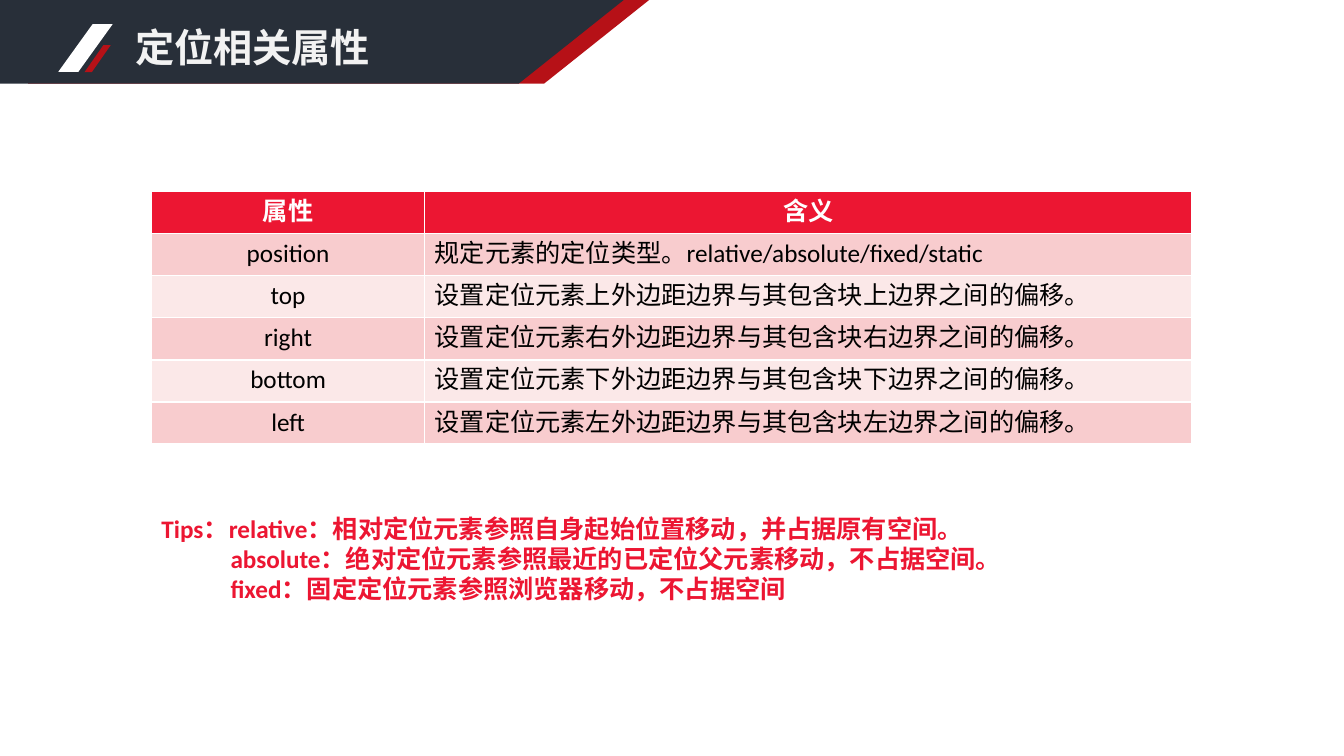
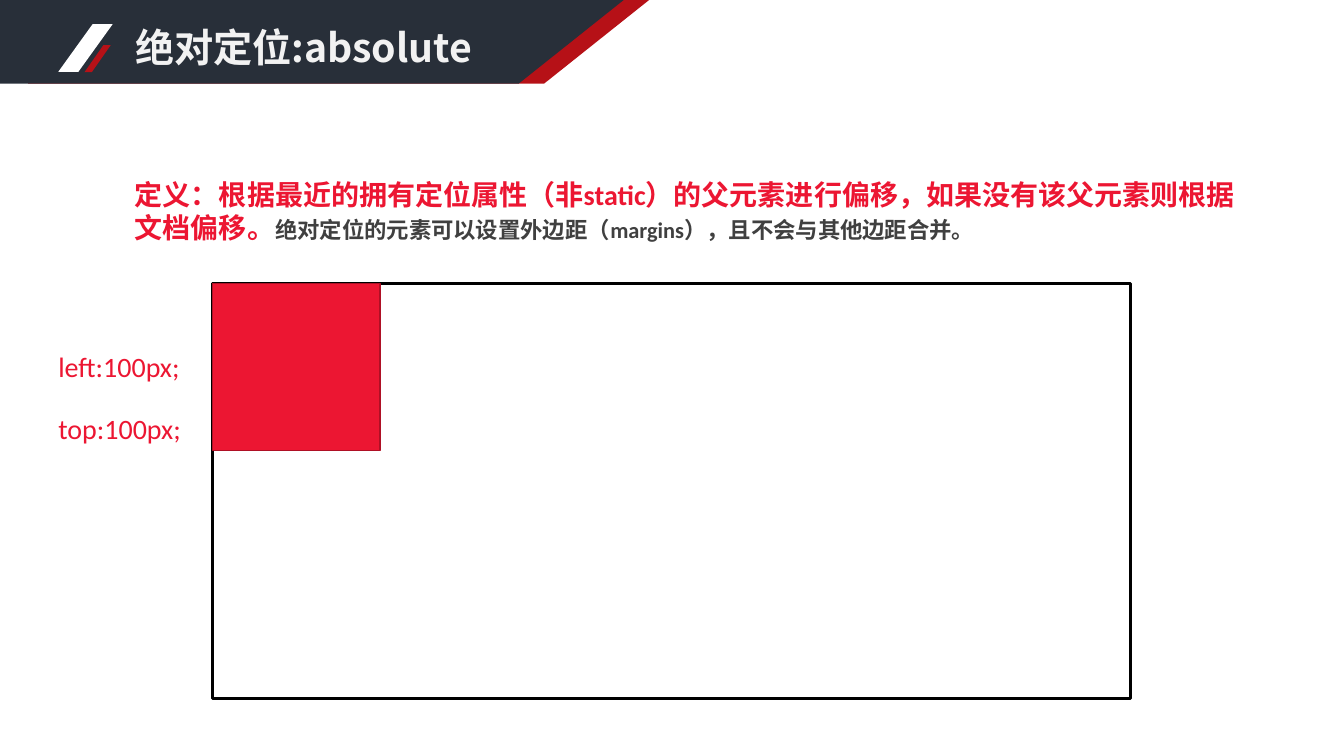
"""Build two slides on CSS positioning: the property table and the absolute mode."""
from dataclasses import dataclass
from typing import Any, NamedTuple

from pptx import Presentation
from pptx.dml.color import RGBColor
from pptx.enum.shapes import MSO_SHAPE as Preset
from pptx.enum.text import MSO_ANCHOR as Anchor, MSO_AUTO_SIZE as AutoSize, PP_ALIGN as Align
from pptx.oxml.ns import qn
from pptx.util import Cm, Pt

DARK = RGBColor(0x28, 0x2F, 0x39)
DEEP_RED = RGBColor(0xB6, 0x11, 0x17)
RED = RGBColor(0xEC, 0x16, 0x32)
RED_EDGE = RGBColor(0xAF, 0x10, 0x25)
ROW_DARK = RGBColor(0xF8, 0xCC, 0xCE)
ROW_LIGHT = RGBColor(0xFB, 0xE8, 0xE8)
TITLE_COLOR = RGBColor(0xF2, 0xF2, 0xF2)
GREY = RGBColor(0x40, 0x40, 0x40)
WHITE = RGBColor(0xFF, 0xFF, 0xFF)
BLACK = RGBColor(0, 0, 0)

BODY_FONT = "Calibri"
TITLE_FONT = "Noto Sans CJK SC"
TITLE_ONLY = 5
BAND_HEIGHT = 2.11
BAND_SLANT = 2.65


class Box(NamedTuple):
    """A rectangle in centimetres."""
    left: float
    top: float
    width: float
    height: float

    def lengths(self) -> list[Cm]:
        """Return the four measures as lengths."""
        return [Cm(value) for value in self]


@dataclass(frozen=True)
class Style:
    """The look of one run of text."""
    size: float
    color: RGBColor
    bold: bool = False
    name: str = BODY_FONT


@dataclass(frozen=True)
class Line:
    """One paragraph: its styled runs and left indent in centimetres."""
    runs: tuple[tuple[str, Style], ...]
    indent: float = 0


@dataclass(frozen=True)
class Band:
    """A slanted header band between two horizontal positions."""
    left: float
    right: float
    color: RGBColor


@dataclass(frozen=True)
class Panel:
    """A preset shape with optional fill and outline."""
    box: Box
    fill: RGBColor | None = None
    line: RGBColor | None = None
    weight: float = 1
    preset: Preset = Preset.RECTANGLE
    slant: float | None = None


TITLE_BOX = Box(3.15, 0.46, 10.29, 1.45)
TITLE_STYLE = Style(28, TITLE_COLOR, True, TITLE_FONT)
TIP_STYLE = Style(18, RED, True)
DEFINITION_STYLE = Style(20, RED, True)
REMARK_STYLE = Style(16, GREY, True)
OFFSET_STYLE = Style(20, RED)
HEADER_STYLE = Style(18, WHITE, True)
CELL_STYLE = Style(18, BLACK)

BANDS = (Band(0.71, 16.36, DEEP_RED), Band(0, 15.72, DARK))
HEADER_MARKS = tuple(
    Panel(box, fill=color, preset=Preset.PARALLELOGRAM, slant=0.72)
    for box, color in (
        (Box(1.47, 0.61, 1.37, 1.2), WHITE),
        (Box(2.13, 1.14, 0.66, 0.68), DEEP_RED),
    )
)

TABLE_BOX = Box(3.82, 4.83, 26.22, 6.36)
COLUMN_WIDTHS = (6.88, 19.34)
SIDES = (("top", "上"), ("right", "右"), ("bottom", "下"), ("left", "左"))
PROPERTY_ROWS = [
    ("属性", "含义"),
    ("position", "规定元素的定位类型。relative/absolute/fixed/static"),
    *((name, f"设置定位元素{side}外边距边界与其包含块{side}边界之间的偏移。") for name, side in SIDES),
]
TIPS = (
    Line((("Tips：relative：相对定位元素参照自身起始位置移动，并占据原有空间。", TIP_STYLE),)),
    Line((("absolute：绝对定位元素参照最近的已定位父元素移动，不占据空间。", TIP_STYLE),), 1.74),
    Line((("fixed：固定定位元素参照浏览器移动，不占据空间", TIP_STYLE),), 1.74),
)
DEFINITION = Line((
    ("定义：根据最近的拥有定位属性（非static）的父元素进行偏移，如果没有该父元素则根据文档偏移。", DEFINITION_STYLE),
    ("绝对定位的元素可以设置外边距（margins），且不会与其他边距合并。", REMARK_STYLE),
))
PARENT = Panel(Box(5.36, 7.14, 23.14, 10.46), line=BLACK, weight=2)
CHILD = Panel(Box(5.36, 7.14, 4.22, 4.22), fill=RED, line=RED_EDGE)
OFFSETS = ("left:100px;", "top:100px;")


def set_values(target: Any, values: dict[str, Any]) -> None:
    """Set each named attribute on the target."""
    for name, value in values.items():
        setattr(target, name, value)


def add_run(paragraph: Any, text: str, style: Style) -> None:
    """Append a styled run to the paragraph."""
    run = paragraph.add_run()
    run.text = text
    set_values(run.font, {"size": Pt(style.size), "bold": style.bold, "name": style.name})
    run.font.color.rgb = style.color
    properties = run.font._element
    east_asian = properties.makeelement(qn("a:ea"), {"typeface": style.name})
    properties.find(qn("a:latin")).addnext(east_asian)


def add_text(slide: Any, box: Box, *lines: Line) -> None:
    """Add a wrapped text box holding the given lines."""
    frame = slide.shapes.add_textbox(*box.lengths()).text_frame
    frame.word_wrap = True
    for index, line in enumerate(lines):
        paragraph = frame.add_paragraph() if index else frame.paragraphs[0]
        if line.indent:
            paragraph._p.get_or_add_pPr().set("marL", str(Cm(line.indent)))
        for text, style in line.runs:
            add_run(paragraph, text, style)


def paint(shape: Any, fill: RGBColor | None, line: RGBColor | None = None, weight: float = 1) -> None:
    """Give the shape a flat fill and outline without shadow."""
    shape.shadow.inherit = False
    if fill is None:
        shape.fill.background()
    else:
        shape.fill.solid()
        shape.fill.fore_color.rgb = fill
    if line is None:
        shape.line.fill.background()
    else:
        shape.line.color.rgb = line
        shape.line.width = Pt(weight)


def add_panel(slide: Any, panel: Panel) -> None:
    """Draw one preset shape."""
    shape = slide.shapes.add_shape(panel.preset, *panel.box.lengths())
    if panel.slant is not None:
        shape.adjustments[0] = panel.slant
    paint(shape, panel.fill, panel.line, panel.weight)


def add_band(slide: Any, band: Band) -> None:
    """Draw one slanted header band."""
    left, right = Cm(band.left), Cm(band.right)
    bottom = Cm(BAND_HEIGHT)
    outline = slide.shapes.build_freeform(left, 0)
    outline.add_line_segments([(right, 0), (right - Cm(BAND_SLANT), bottom), (left, bottom)])
    paint(outline.convert_to_shape(), band.color)


def add_titled_slide(presentation: Any, title: str) -> Any:
    """Add a slide with the shared header and the given title."""
    slide = presentation.slides.add_slide(presentation.slide_layouts[TITLE_ONLY])
    for band in BANDS:
        add_band(slide, band)
    for mark in HEADER_MARKS:
        add_panel(slide, mark)
    shape = slide.shapes.title
    shape.element.getparent().append(shape.element)
    set_values(shape, dict(zip(("left", "top", "width", "height"), TITLE_BOX.lengths())))
    frame = shape.text_frame
    set_values(frame, {"word_wrap": True, "auto_size": AutoSize.NONE, "vertical_anchor": Anchor.MIDDLE})
    paragraph = frame.paragraphs[0]
    paragraph.alignment = Align.LEFT
    add_run(paragraph, title, TITLE_STYLE)
    return slide


def add_property_table(slide: Any) -> None:
    """Draw the table of positioning properties."""
    shape = slide.shapes.add_table(len(PROPERTY_ROWS), len(COLUMN_WIDTHS), *TABLE_BOX.lengths())
    table = shape.table
    for column, width in zip(table.columns, COLUMN_WIDTHS):
        column.width = Cm(width)
    for row_index, texts in enumerate(PROPERTY_ROWS):
        is_header = row_index == 0
        fill = RED if is_header else (ROW_LIGHT, ROW_DARK)[row_index % 2]
        for column_index, text in enumerate(texts):
            cell = table.cell(row_index, column_index)
            cell.fill.solid()
            cell.fill.fore_color.rgb = fill
            paragraph = cell.text_frame.paragraphs[0]
            paragraph.alignment = Align.CENTER if is_header or column_index == 0 else Align.LEFT
            add_run(paragraph, text, HEADER_STYLE if is_header else CELL_STYLE)


def build_properties(presentation: Any) -> None:
    """Build the slide on positioning properties."""
    slide = add_titled_slide(presentation, "定位相关属性")
    add_property_table(slide)
    add_text(slide, Box(3.82, 12.8, 26.22, 2.54), *TIPS)


def build_absolute(presentation: Any) -> None:
    """Build the slide on absolute positioning."""
    slide = add_titled_slide(presentation, "绝对定位:absolute")
    add_text(slide, Box(3.15, 4.34, 28.32, 1.96), DEFINITION)
    for panel in (PARENT, CHILD):
        add_panel(slide, panel)
    for index, text in enumerate(OFFSETS):
        add_text(slide, Box(1.22, 8.69 + 1.55 * index, 3.8, 1.12), Line(((text, OFFSET_STYLE),)))


def main() -> None:
    """Build and save the presentation."""
    presentation = Presentation()
    set_values(presentation, {"slide_width": Cm(33.87), "slide_height": Cm(19.05)})
    build_properties(presentation)
    build_absolute(presentation)
    presentation.save("out.pptx")


if __name__ == "__main__":
    main()
